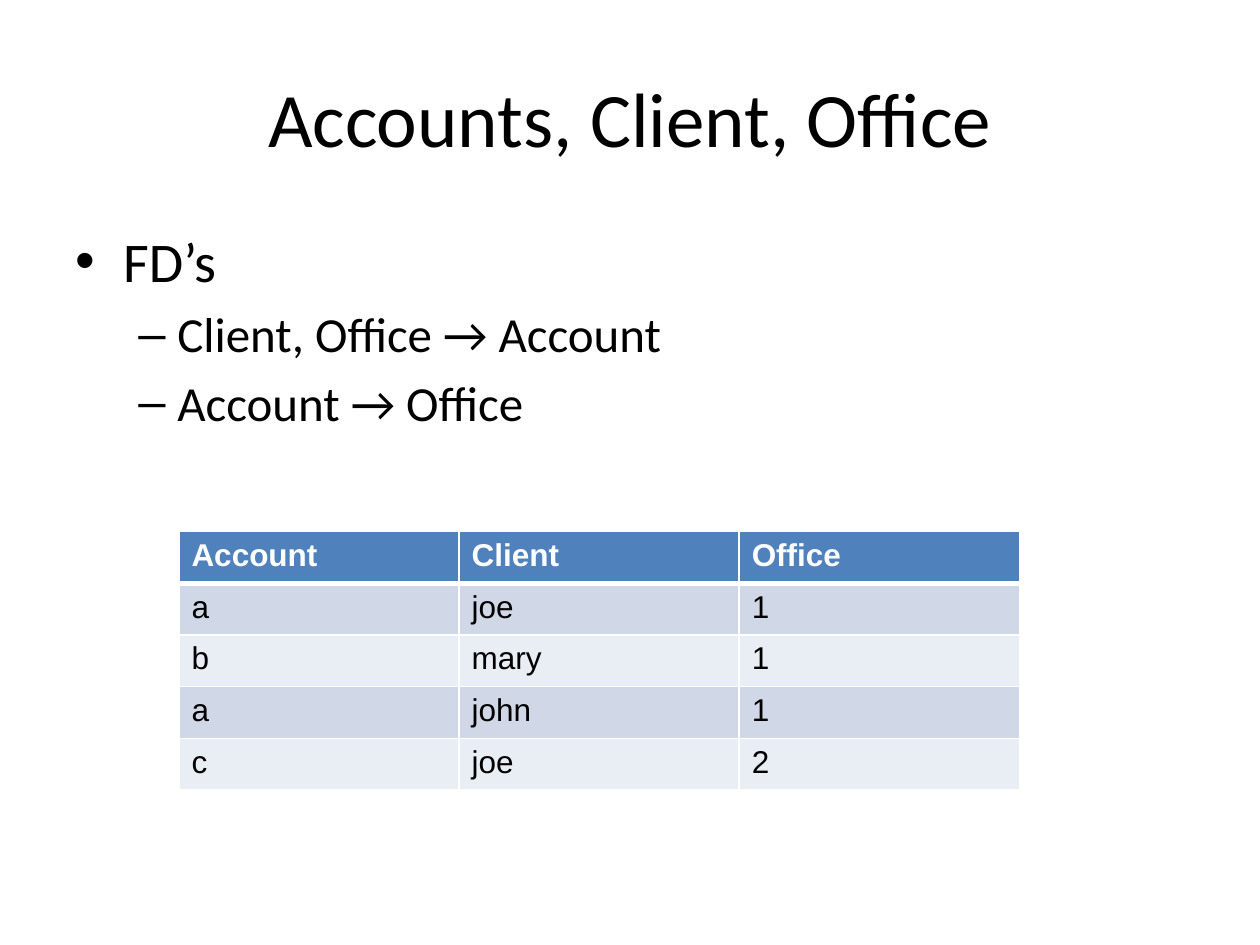
import lxml.etree
import pptx
import pptx.dml.color
import pptx.enum.text
import pptx.oxml.ns
import pptx.util

TITLE = "Accounts, Client, Office"
BULLETS = [
    (0, "FD’s"),
    (1, "Client, Office → Account"),
    (1, "Account → Office"),
]
LEVELS = [
    {"size": 32, "mark": "•", "indent": 0.38, "hanging": 0.38},
    {"size": 28, "mark": "–", "indent": 0.81, "hanging": 0.31},
]
ROWS = [
    ("Account", "Client", "Office"),
    ("a", "joe", "1"),
    ("b", "mary", "1"),
    ("a", "john", "1"),
    ("c", "joe", "2"),
]
COLORS = {
    "text": "000000",
    "header_text": "FFFFFF",
    "header": "4F81BD",
    "odd_row": "D0D8E8",
    "even_row": "E9EDF4",
    "border": "FFFFFF",
}
TABLE_LEFT, TABLE_TOP, TABLE_WIDTH, ROW_HEIGHT = 1.42, 4.22, 6.67, 0.41


def color(name):
    return pptx.dml.color.RGBColor.from_string(COLORS[name])


def add_element(parent, tag, **attributes):
    element = lxml.etree.SubElement(parent, pptx.oxml.ns.qn(tag))
    for name, value in attributes.items():
        element.set(name, str(value))
    return element


def add_run(paragraph, text, font, size, color_name="text", bold=False):
    run = paragraph.add_run()
    run.text = text
    run.font.name = font
    run.font.size = pptx.util.Pt(size)
    run.font.bold = bold
    run.font.color.rgb = color(color_name)


def add_text_frame(slide, left, top, width, height):
    shape = slide.shapes.add_textbox(*map(pptx.util.Inches, (left, top, width, height)))
    shape.text_frame.word_wrap = True
    return shape.text_frame


def add_title(slide):
    frame = add_text_frame(slide, 0.5, 0.3, 9, 1.25)
    frame.vertical_anchor = pptx.enum.text.MSO_ANCHOR.MIDDLE
    paragraph = frame.paragraphs[0]
    paragraph.alignment = pptx.enum.text.PP_ALIGN.CENTER
    add_run(paragraph, TITLE, "Calibri", 44)


def add_bullets(slide):
    frame = add_text_frame(slide, 0.5, 1.75, 9, 4.95)
    for index, (level, text) in enumerate(BULLETS):
        style = LEVELS[level]
        paragraph = frame.add_paragraph() if index else frame.paragraphs[0]
        paragraph.level = level
        paragraph.space_before = pptx.util.Pt(0.2 * style["size"])
        properties = paragraph._p.get_or_add_pPr()
        properties.set("marL", str(pptx.util.Inches(style["indent"])))
        properties.set("indent", str(-pptx.util.Inches(style["hanging"])))
        add_element(properties, "a:buFont", typeface="Arial")
        add_element(properties, "a:buChar", char=style["mark"])
        add_run(paragraph, text, "Calibri", style["size"])


def set_borders(cell, widths):
    properties = cell._tc.get_or_add_tcPr()
    for side, width in widths.items():
        line = add_element(properties, f"a:ln{side}", w=pptx.util.Pt(width))
        fill = add_element(line, "a:solidFill")
        add_element(fill, "a:srgbClr", val=COLORS["border"])


def add_accounts_table(slide):
    column_count = len(ROWS[0])
    bounds = (TABLE_LEFT, TABLE_TOP, TABLE_WIDTH, ROW_HEIGHT * len(ROWS))
    table = slide.shapes.add_table(
        len(ROWS), column_count, *map(pptx.util.Inches, bounds)
    ).table
    for column in table.columns:
        column.width = pptx.util.Inches(TABLE_WIDTH / column_count)
    for row_index, values in enumerate(ROWS):
        table.rows[row_index].height = pptx.util.Inches(ROW_HEIGHT)
        header = row_index == 0
        fill_name = "header" if header else "odd_row" if row_index % 2 else "even_row"
        text_name = "header_text" if header else "text"
        widths = {"L": 1, "R": 1, "T": 3 if row_index == 1 else 1, "B": 3 if header else 1}
        for column_index, value in enumerate(values):
            cell = table.cell(row_index, column_index)
            set_borders(cell, widths)
            cell.fill.solid()
            cell.fill.fore_color.rgb = color(fill_name)
            add_run(cell.text_frame.paragraphs[0], value, "Arial", 18, text_name, header)


def main():
    presentation = pptx.Presentation()
    presentation.slide_width = pptx.util.Inches(10)
    presentation.slide_height = pptx.util.Inches(7.5)
    slide = presentation.slides.add_slide(presentation.slide_layouts[6])
    add_title(slide)
    add_bullets(slide)
    add_accounts_table(slide)
    presentation.save("out.pptx")


if __name__ == "__main__":
    main()
